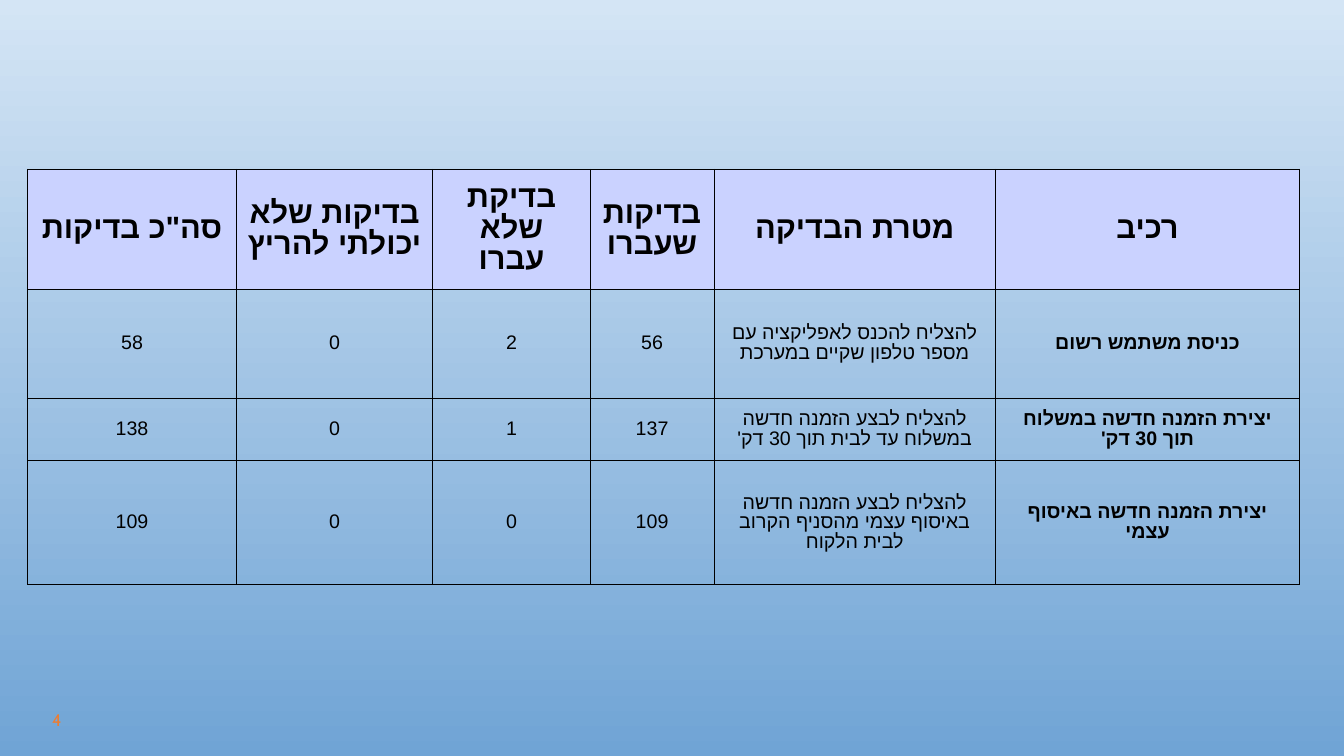
from lxml import etree
from pptx import Presentation
from pptx.dml.color import RGBColor
from pptx.enum.text import MSO_ANCHOR, PP_ALIGN
from pptx.oxml.ns import qn
from pptx.util import Pt

MIDDLE = MSO_ANCHOR.MIDDLE
CENTER, LEFT = PP_ALIGN.CENTER, PP_ALIGN.LEFT

# Content
HEADERS = ['סה"כ בדיקות', "בדיקות שלא יכולתי להריץ", "בדיקת שלא עברו",
           "בדיקות שעברו", "מטרת הבדיקה", "רכיב"]
TESTS = [
    ["58", "0", "2", "56",
     "להצליח להכנס לאפליקציה עם מספר טלפון שקיים במערכת",
     "כניסת משתמש רשום"],
    ["138", "0", "1", "137",
     "להצליח לבצע הזמנה חדשה במשלוח עד לבית תוך 30 דק'",
     "יצירת הזמנה חדשה במשלוח תוך 30 דק'"],
    ["109", "0", "0", "109",
     "להצליח לבצע הזמנה חדשה באיסוף עצמי מהסניף הקרוב לבית הלקוח",
     "יצירת הזמנה חדשה באיסוף עצמי"],
]
PAGE_NUMBER = "4"

THEME = {
    "sky_top": "D4E5F5", "sky_bottom": "70A4D5",
    "header_fill": "CAD2FF", "ink": "000000", "accent": "ED7D31",
    "font": "Arial", "number_font": "Cabin",
    "header_size": 22, "body_size": 14, "number_size": 12,
    "line_spacing": 0.9, "border": 0.75, "margin": 7.2,
}

# Layout in points
SLIDE_W, SLIDE_H = 960, 540
TABLE_LEFT, TABLE_TOP = 19.8, 121
COL_WIDTHS = [149, 140.4, 112.3, 88.6, 200.9, 217.4]
ROW_HEIGHTS = [84.2, 77.8, 42, 88.6]
NUMBER_BOX = (30.2, 500.4, 130.3, 28.8)


def rgb(name):
    return RGBColor.from_string(THEME[name])


def write(tf, text, font, size, color, bold=False, align=CENTER, rtl=True):
    tf.text = text
    p = tf.paragraphs[0]
    p.alignment = align
    p.line_spacing = THEME["line_spacing"]
    if rtl:
        p._p.get_or_add_pPr().set("rtl", "1")
    r = p.runs[0]
    r.font.name, r.font.size, r.font.bold = THEME[font], Pt(THEME[size]), bold
    r.font.color.rgb = rgb(color)
    # Hebrew letters take the complex-script font
    etree.SubElement(r._r.get_or_add_rPr(), qn("a:cs"), typeface=THEME[font])


def add_borders(cell):
    tc_pr = cell._tc.get_or_add_tcPr()
    for side in ("a:lnL", "a:lnR", "a:lnT", "a:lnB"):
        ln = etree.SubElement(tc_pr, qn(side), w=str(Pt(THEME["border"])))
        fill = etree.SubElement(ln, qn("a:solidFill"))
        etree.SubElement(fill, qn("a:srgbClr"), val=THEME["ink"])


def add_background(s):
    fill = s.background.fill
    fill.gradient()
    fill.gradient_angle = 270
    for stop, position, name in zip(fill.gradient_stops, (0, 1),
                                    ("sky_top", "sky_bottom")):
        stop.position = position
        stop.color.rgb = rgb(name)


def add_results_table(s):
    rows = [HEADERS] + TESTS
    table = s.shapes.add_table(
        len(rows), len(HEADERS), Pt(TABLE_LEFT), Pt(TABLE_TOP),
        Pt(sum(COL_WIDTHS)), Pt(sum(ROW_HEIGHTS))).table
    table.first_row = table.horz_banding = False
    for column, width in zip(table.columns, COL_WIDTHS):
        column.width = Pt(width)
    for row, height in zip(table.rows, ROW_HEIGHTS):
        row.height = Pt(height)
    for i, texts in enumerate(rows):
        for j, text in enumerate(texts):
            cell = table.cell(i, j)
            header = i == 0
            component = j == len(texts) - 1
            cell.vertical_anchor = MIDDLE
            cell.margin_left = cell.margin_right = Pt(THEME["margin"])
            cell.margin_top = cell.margin_bottom = Pt(THEME["margin"])
            add_borders(cell)
            if header:
                cell.fill.solid()
                cell.fill.fore_color.rgb = rgb("header_fill")
            else:
                cell.fill.background()
            write(cell.text_frame, text, "font",
                  "header_size" if header else "body_size", "ink",
                  bold=header or component, rtl=not text.isdigit())


def add_page_number(s):
    tf = s.shapes.add_textbox(*map(Pt, NUMBER_BOX)).text_frame
    tf.word_wrap = True
    tf.vertical_anchor = MIDDLE
    write(tf, PAGE_NUMBER, "number_font", "number_size", "accent", align=LEFT)


def main():
    prs = Presentation()
    prs.slide_width, prs.slide_height = Pt(SLIDE_W), Pt(SLIDE_H)
    s = prs.slides.add_slide(prs.slide_layouts[6])
    add_background(s)
    add_page_number(s)
    add_results_table(s)
    prs.save("out.pptx")


if __name__ == "__main__":
    main()
